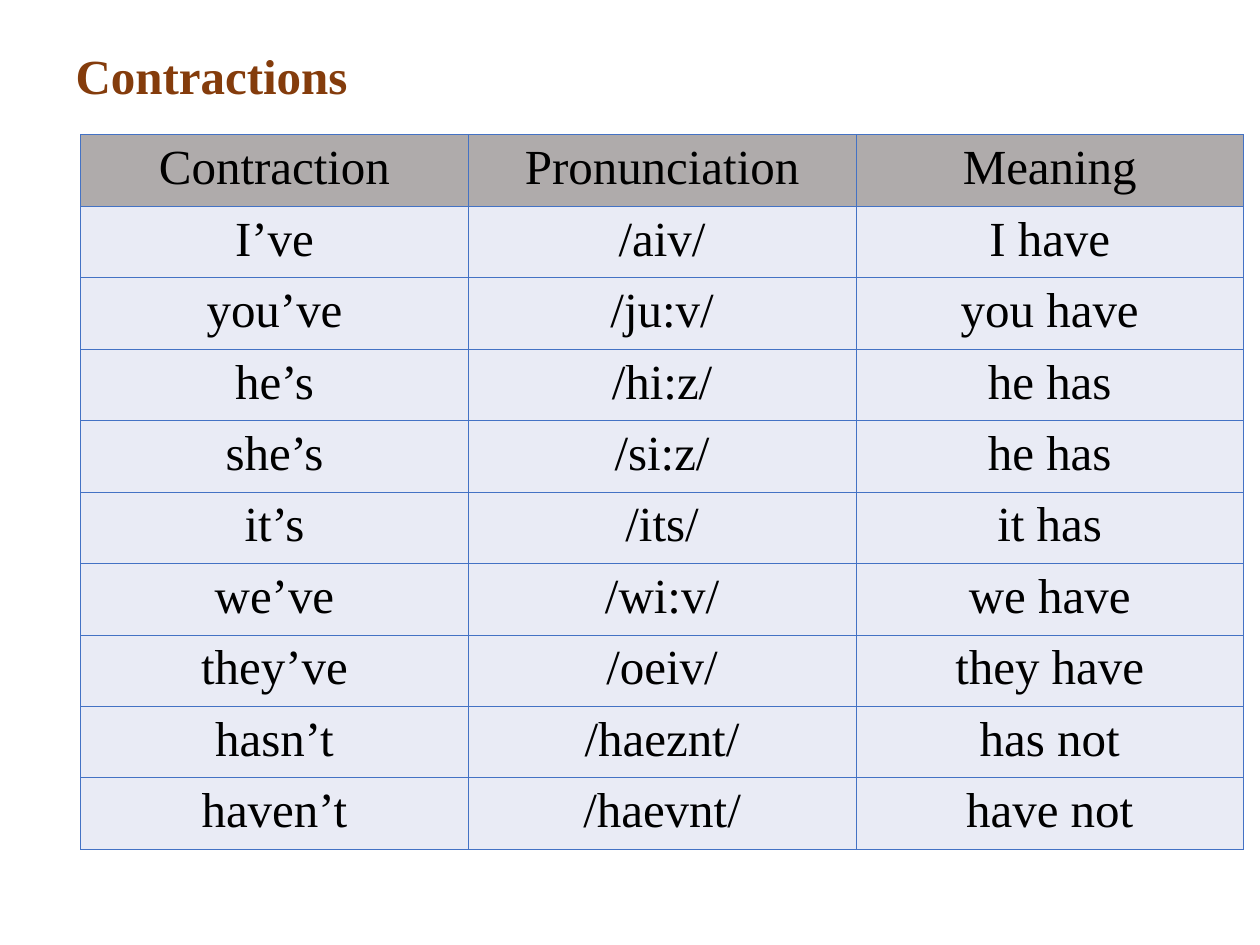
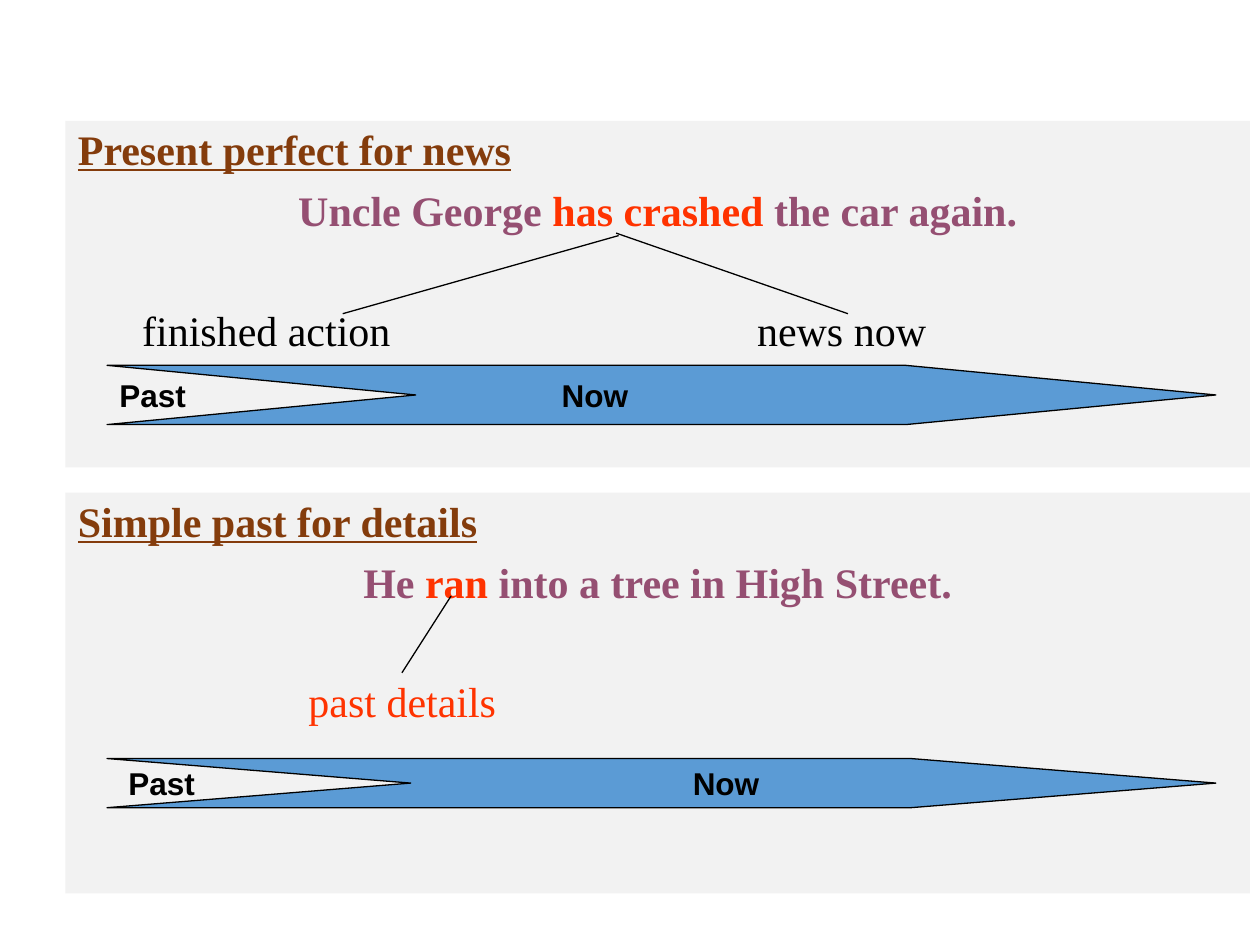
"""Build two grammar slides: a contractions table and a present perfect timeline."""
from lxml import etree
from pptx import Presentation
from pptx.dml.color import RGBColor
from pptx.enum.shapes import MSO_CONNECTOR, MSO_SHAPE
from pptx.enum.text import MSO_ANCHOR, MSO_AUTO_SIZE, PP_ALIGN
from pptx.oxml.ns import qn
from pptx.util import Inches, Pt

LEFT, CENTER = PP_ALIGN.LEFT, PP_ALIGN.CENTER
TOP, MIDDLE = MSO_ANCHOR.TOP, MSO_ANCHOR.MIDDLE
NO_FIT = MSO_AUTO_SIZE.NONE
RECT, STRAIGHT = MSO_SHAPE.RECTANGLE, MSO_CONNECTOR.STRAIGHT

BLACK = RGBColor(0x00, 0x00, 0x00)
BROWN = RGBColor(0x84, 0x3C, 0x0C)
PLUM = RGBColor(0x95, 0x4F, 0x72)
RED = RGBColor(0xFF, 0x33, 0x00)
PANEL = RGBColor(0xF2, 0xF2, 0xF2)
ARROW = RGBColor(0x5B, 0x9B, 0xD5)
HEADER = RGBColor(0xAF, 0xAB, 0xAB)
CELL = RGBColor(0xE9, 0xEB, 0xF5)
BORDER = RGBColor(0x44, 0x72, 0xC4)

SERIF, SANS = "Times New Roman", "Arial"
COLUMNS, ROWS = 100, 75
TITLE_ONLY, BLANK = 5, 6

CONTRACTIONS = [
    ("Contraction", "Pronunciation", "Meaning"),
    ("I’ve", "/aiv/", "I have"),
    ("you’ve", "/ju:v/", "you have"),
    ("he’s", "/hi:z/", "he has"),
    ("she’s", "/si:z/", "he has"),
    ("it’s", "/its/", "it has"),
    ("we’ve", "/wi:v/", "we have"),
    ("they’ve", "/oeiv/", "they have"),
    ("hasn’t", "/haeznt/", "has not"),
    ("haven’t", "/haevnt/", "have not"),
]


def write(p, text, size=24, font=SERIF, color=BLACK, bold=False, underline=False,
          align=LEFT, spacing=None, before=None, tabs=()):
    """Fill a paragraph with a string or (string, colour) pairs; tabs are in inches."""
    p.alignment = align
    if spacing is not None:
        p.line_spacing = spacing
    if before is not None:
        p.space_before = Pt(before)
    if tabs:
        stops = etree.SubElement(p._p.get_or_add_pPr(), qn("a:tabLst"))
        for tab in tabs:
            etree.SubElement(stops, qn("a:tab"), pos=str(Inches(tab)), algn="l")
    for part, part_color in [(text, color)] if isinstance(text, str) else text:
        r = p.add_run()
        r.text = part
        r.font.name, r.font.size = font, Pt(size)
        r.font.bold, r.font.underline = bold, underline
        r.font.color.rgb = part_color


class Deck:
    """Hold the shared style and the current slide, measured on a 100 by 75 grid."""

    def __init__(self):
        """Start an empty 10 by 7.5 inch presentation."""
        self.prs = Presentation()
        self.prs.slide_width, self.prs.slide_height = Inches(10), Inches(7.5)
        self.s = None

    def new_slide(self, layout):
        """Add a slide and make it current."""
        self.s = self.prs.slides.add_slide(self.prs.slide_layouts[layout])

    def grid(self, *lengths):
        """Turn alternating columns and rows into slide lengths."""
        units = self.prs.slide_width / COLUMNS, self.prs.slide_height / ROWS
        return [round(n * units[i % 2]) for i, n in enumerate(lengths)]

    def title(self, text, *box):
        """Place and format the title placeholder."""
        sp = self.s.shapes.title
        sp.left, sp.top, sp.width, sp.height = self.grid(*box)
        tf = sp.text_frame
        tf.auto_size, tf.vertical_anchor = NO_FIT, MIDDLE
        write(tf.paragraphs[0], text, size=28, color=BROWN, bold=True, spacing=0.9)

    def table(self, rows, *box):
        """Add a bordered table whose first row is the header."""
        table = self.s.shapes.add_table(len(rows), len(rows[0]), *self.grid(*box)).table
        table.first_row = table.horz_banding = False
        for i, row in enumerate(rows):
            for j, text in enumerate(row):
                cell = table.cell(i, j)
                write(cell.text_frame.paragraphs[0], text, size=28, align=CENTER)
                self.borders(cell)
                cell.fill.solid()
                cell.fill.fore_color.rgb = CELL if i else HEADER

    def borders(self, cell):
        """Draw a thin line on all four sides of a cell."""
        for side in ("a:lnL", "a:lnR", "a:lnT", "a:lnB"):
            ln = etree.SubElement(cell._tc.get_or_add_tcPr(), qn(side), w=str(Pt(0.45)))
            fill = etree.SubElement(ln, qn("a:solidFill"))
            etree.SubElement(fill, qn("a:srgbClr"), val=str(BORDER))

    def style(self, sp, fill, anchor):
        """Give a shape a flat fill and return its wrapped text frame."""
        sp.shadow.inherit = False
        sp.fill.solid()
        sp.fill.fore_color.rgb = fill
        tf = sp.text_frame
        tf.word_wrap, tf.vertical_anchor = True, anchor
        return tf

    def panel(self, heading, sentence, labels, label_color, tabs, *box):
        """Add a grey panel with a heading, an example and its labels."""
        sp = self.s.shapes.add_shape(RECT, *self.grid(*box))
        tf = self.style(sp, PANEL, TOP)
        sp.line.fill.background()
        write(tf.paragraphs[0], heading, color=BROWN, bold=True, underline=True,
              spacing=0.95, before=7.5)
        write(tf.add_paragraph(), sentence, bold=True, align=CENTER,
              spacing=0.95, before=7.5)
        write(tf.add_paragraph(), labels, color=label_color, spacing=0.95,
              before=41, tabs=tabs)

    def timeline(self, text, tabs, left, top, width, height, notch, shoulder):
        """Add a notched arrow that runs from past to now."""
        middle, right, bottom = top + height / 2, left + width, top + height
        points = [(left, top), (shoulder, top), (right, middle),
                  (shoulder, bottom), (left, bottom), (notch, middle)]
        start, *rest = [self.grid(*point) for point in points]
        builder = self.s.shapes.build_freeform(*start)
        builder.add_line_segments(rest, close=True)
        sp = builder.convert_to_shape()
        tf = self.style(sp, ARROW, MIDDLE)
        sp.line.color.rgb, sp.line.width = BLACK, Pt(0.75)
        write(tf.paragraphs[0], text, size=18, font=SANS, bold=True, tabs=tabs)

    def line(self, *ends):
        """Add a thin black line between two grid points."""
        c = self.s.shapes.add_connector(STRAIGHT, *self.grid(*ends))
        c.line.color.rgb, c.line.width = BLACK, Pt(0.75)
        etree.SubElement(c._element.spPr, qn("a:effectLst"))


def main():
    """Build both slides and save them."""
    deck = Deck()

    deck.new_slide(TITLE_ONLY)
    deck.title("Contractions", 5, 3.5, 95, 5.5)
    deck.table(CONTRACTIONS, 6.4, 10.7, 92.3, 56.7)

    deck.new_slide(BLANK)
    deck.panel("Present perfect for news",
               [("Uncle George ", PLUM), ("has crashed", RED), (" the car again.", PLUM)],
               "\tfinished action\tnews now", BLACK, (0.51, 5.39), 5.2, 9.6, 94, 27.5)
    deck.panel("Simple past for details",
               [("He ", PLUM), ("ran ", RED), ("into a tree in High Street.", PLUM)],
               "\tpast details", RED, (1.83,), 5.2, 39.1, 94, 31.8)
    deck.timeline("Past\tNow", (3.51,), 8.5, 29, 88, 4.7, notch=33, shoulder=71.9)
    deck.timeline("\tPast\tNow", (0.07, 4.55), 8.5, 60.2, 88, 3.9,
                  notch=32.6, shoulder=72.3)
    for ends in [(27.2, 24.9, 49.1, 18.7), (48.9, 18.5, 67.3, 24.9),
                 (35.8, 47.3, 31.9, 53.4)]:
        deck.line(*ends)

    deck.prs.save("out.pptx")


if __name__ == "__main__":
    main()
